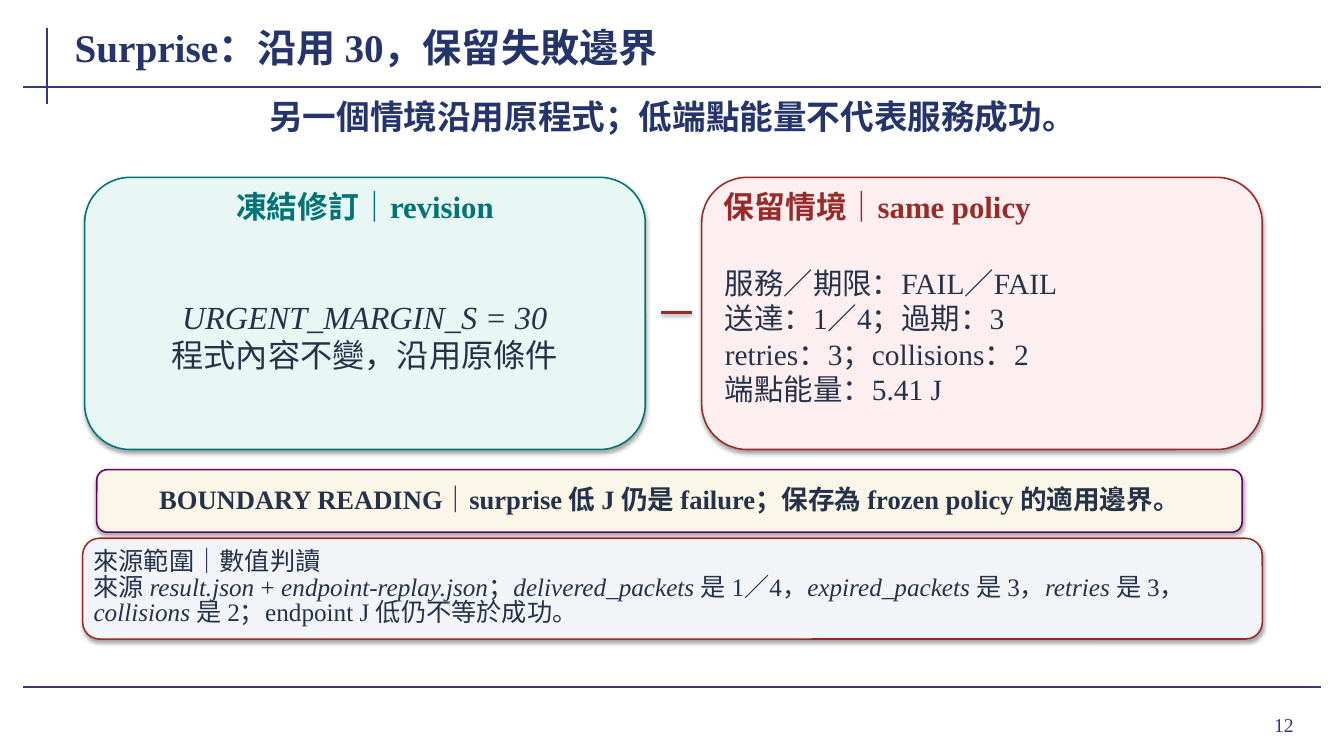
"""Build the slide on reusing a frozen policy and keeping its failure boundary."""
from lxml.etree import SubElement
from pptx import Presentation
from pptx.dml.color import RGBColor
from pptx.enum.shapes import MSO_CONNECTOR as Connector, MSO_SHAPE as Shape
from pptx.enum.text import MSO_ANCHOR as Anchor, MSO_AUTO_SIZE as AutoSize, PP_ALIGN as Align
from pptx.oxml.ns import qn
from pptx.util import Inches, Pt

THEME = {
    "font": "Times New Roman",
    "navy": "25356B", "rule": "35377F", "ink": "25324A", "teal": "007374", "red": "992A2A",
    "purple": "660066", "mint": "E8F7F4", "rose": "FDEFEF", "cream": "FAF7E8", "mist": "F2F4F8",
    "title": 28, "subtitle": 24, "heading": 22, "boundary": 19, "source": 18, "number": 14,
    "rule_width": 1.5, "border_width": 1.1, "link_width": 2,
}
ITALIC_MARK = "*"

TITLE = ["Surprise：沿用 30，保留失敗邊界"]
SUBTITLE = ["另一個情境沿用原程式；低端點能量不代表服務成功。"]
PAGE_NUMBER = ["12"]
PANELS = [
    {"heading": ["凍結修訂｜revision"], "color": "teal", "fill": "mint", "align": Align.CENTER, "size": 23,
     "body": ["*URGENT_MARGIN_S = 30*", "程式內容不變，沿用原條件"]},
    {"heading": ["保留情境｜same policy"], "color": "red", "fill": "rose", "align": Align.LEFT, "size": 21,
     "body": ["服務／期限：FAIL／FAIL", "送達：1／4；過期：3",
              "retries：3；collisions：2", "端點能量：5.41 J"]},
]
BOUNDARY = ["BOUNDARY READING｜surprise 低 J 仍是 failure；保存為 frozen policy 的適用邊界。"]
SOURCE = [
    "來源範圍｜數值判讀",
    "來源 *result.json* + *endpoint-replay.json*；*delivered_packets* 是 1／4，"
    "*expired_packets* 是 3，*retries* 是 3，*collisions* 是 2；endpoint J 低仍不等於成功。",
]

RULES = [(0.47, 0.28, 0.47, 1.03), (0.23, 0.86, 13.1, 0.86), (0.23, 6.82, 13.1, 6.82)]
PANEL_LEFT, PANEL_TOP, PANEL_WIDTH, PANEL_HEIGHT, PANEL_PITCH = 0.84, 1.76, 5.56, 2.7, 6.12
LINK = (6.56, 3.1, 6.86, 3.1)


def color(name):
    return RGBColor.from_string(THEME[name])


def add_shadow(shape, opacity, distance):
    properties = shape._element.spPr
    effects = properties.find(qn("a:effectLst"))
    shadow = SubElement(effects, qn("a:outerShdw"), blurRad=str(Pt(3.1)), dist=str(Pt(distance)),
                        dir="5400000", algn="ctr", rotWithShape="0")
    black = SubElement(shadow, qn("a:srgbClr"), val="000000")
    SubElement(black, qn("a:alpha"), val=str(opacity * 1000))


def add_line(slide, ends, line_color, width):
    line = slide.shapes.add_connector(Connector.STRAIGHT, *map(Inches, ends))
    line.line.color.rgb = color(line_color)
    line.line.width = Pt(width)
    SubElement(line._element.spPr, qn("a:effectLst"))
    return line


def write(shape, lines, size, text_color, align=Align.LEFT, bold=False, insets=(0.08, 0.04), spacing=None):
    frame = shape.text_frame
    side, end = map(Inches, insets)
    layout = {"word_wrap": True, "auto_size": AutoSize.NONE, "vertical_anchor": Anchor.MIDDLE,
              "margin_left": side, "margin_right": side, "margin_top": end, "margin_bottom": end}
    for name, value in layout.items():
        setattr(frame, name, value)
    for index, line in enumerate(lines):
        paragraph = frame.add_paragraph() if index else frame.paragraphs[0]
        paragraph.alignment = align
        if spacing:
            paragraph.line_spacing = spacing
        for part, text in enumerate(line.split(ITALIC_MARK)):
            if not text:
                continue
            run = paragraph.add_run()
            run.text = text
            run.font.color.rgb = color(text_color)
            style = {"name": THEME["font"], "size": Pt(size), "bold": bold, "italic": part % 2 == 1}
            for name, value in style.items():
                setattr(run.font, name, value)


def add_text(slide, box, *content, **options):
    write(slide.shapes.add_textbox(*map(Inches, box)), *content, **options)


def add_card(slide, box, fill, border):
    card = slide.shapes.add_shape(Shape.ROUNDED_RECTANGLE, *map(Inches, box))
    card.fill.solid()
    card.fill.fore_color.rgb = color(fill)
    card.line.color.rgb = color(border)
    card.line.width = Pt(THEME["border_width"])
    card.shadow.inherit = False
    add_shadow(card, 35, 1.8)
    return card


def add_panel(slide, left, panel):
    add_card(slide, (left, PANEL_TOP, PANEL_WIDTH, PANEL_HEIGHT), panel["fill"], panel["color"])
    add_text(slide, (left + 0.14, PANEL_TOP + 0.08, PANEL_WIDTH - 0.28, 0.42), panel["heading"],
             THEME["heading"], panel["color"], panel["align"], bold=True)
    add_text(slide, (left + 0.15, PANEL_TOP + 0.54, PANEL_WIDTH - 0.3, 2.06), panel["body"],
             panel["size"], "ink", panel["align"])


def main():
    presentation = Presentation()
    presentation.slide_width, presentation.slide_height = Inches(13.33), Inches(7.5)
    slide = presentation.slides.add_slide(presentation.slide_layouts[6])

    for ends in RULES:
        add_line(slide, ends, "rule", THEME["rule_width"])
    add_text(slide, (11.96, 6.93, 0.97, 0.52), PAGE_NUMBER, THEME["number"], "rule", Align.RIGHT,
             insets=(0.1, 0.05))
    add_text(slide, (0.72, 0.2, 10.35, 0.53), TITLE, THEME["title"], "navy", bold=True, insets=(0.02, 0))
    add_text(slide, (0.82, 0.93, 11.7, 0.45), SUBTITLE, THEME["subtitle"], "navy", Align.CENTER,
             bold=True, insets=(0.02, 0))

    for index, panel in enumerate(PANELS):
        add_panel(slide, PANEL_LEFT + index * PANEL_PITCH, panel)
    add_shadow(add_line(slide, LINK, "red", THEME["link_width"]), 38, 1.6)

    boundary = add_card(slide, (0.96, 4.66, 11.36, 0.62), "cream", "purple")
    write(boundary, BOUNDARY, THEME["boundary"], "ink", Align.CENTER, bold=True,
          insets=(0.08, 0.02), spacing=0.84)
    source = add_card(slide, (0.82, 5.34, 11.7, 1), "mist", "red")
    write(source, SOURCE, THEME["source"], "ink", insets=(0.06, 0.02), spacing=0.84)

    presentation.save("out.pptx")


if __name__ == "__main__":
    main()
